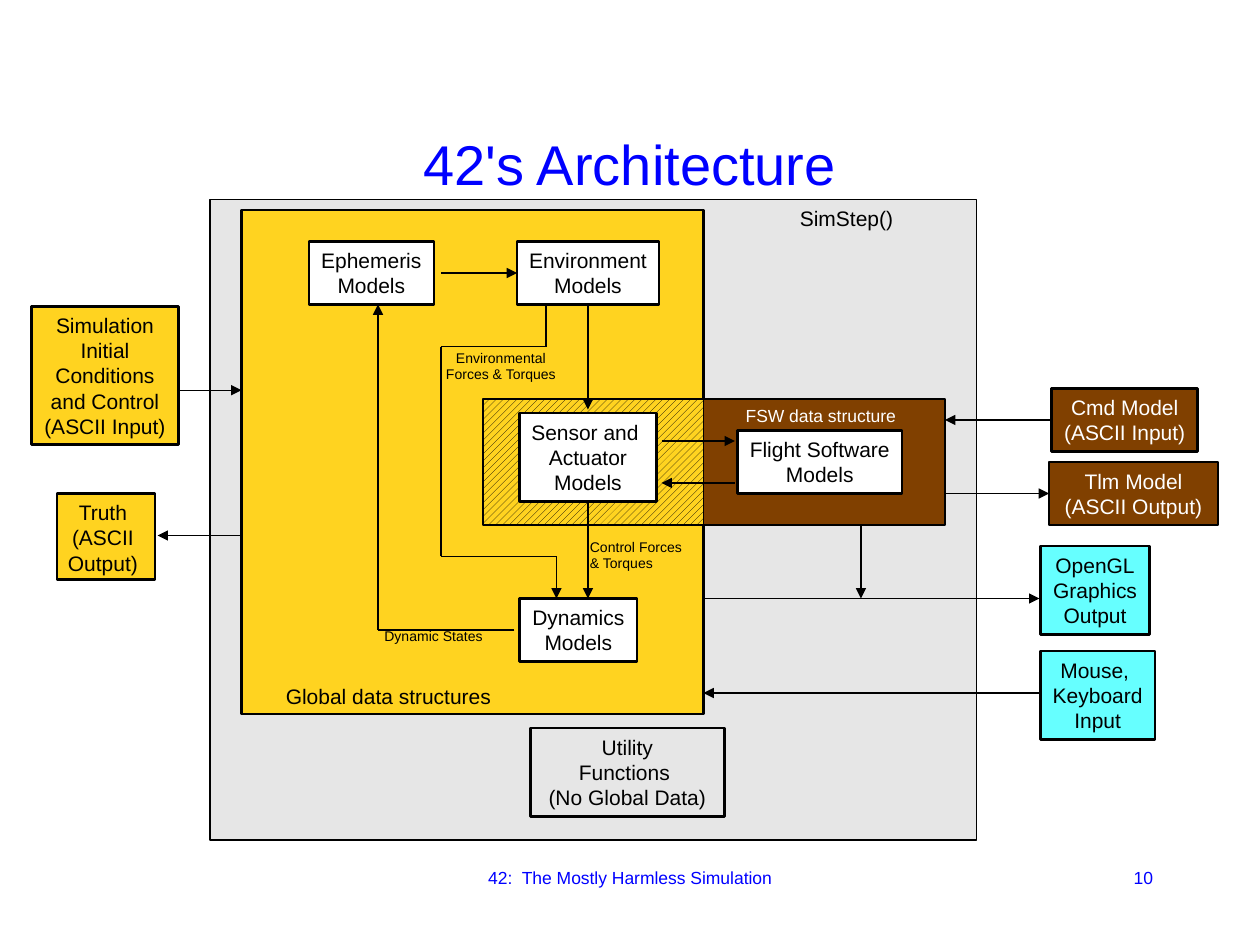
from itertools import pairwise

from lxml import etree
from pptx import Presentation
from pptx.dml.color import RGBColor
from pptx.enum.dml import MSO_PATTERN
from pptx.enum.shapes import MSO_CONNECTOR, MSO_SHAPE
from pptx.enum.text import MSO_ANCHOR, PP_ALIGN
from pptx.oxml.ns import qn
from pptx.util import Pt

RECTANGLE = MSO_SHAPE.RECTANGLE
STRAIGHT = MSO_CONNECTOR.STRAIGHT
HATCH = MSO_PATTERN.WIDE_UPWARD_DIAGONAL
TOP, MIDDLE = MSO_ANCHOR.TOP, MSO_ANCHOR.MIDDLE
LEFT, CENTER, RIGHT = PP_ALIGN.LEFT, PP_ALIGN.CENTER, PP_ALIGN.RIGHT

BLACK, WHITE, BLUE = "000000", "FFFFFF", "0000FF"
GRAY, GOLD, BROWN, CYAN = "E6E6E6", "FFD320", "804000", "66FFFF"
FONT = "Arial"
THIN, THICK = 0.75, 1.5
LEFT_SIDE, BOTTOM_SIDE = 1, 2

TITLE = ("42's Architecture", (54, 48, 612, 90))

REGIONS = [
    ((120, 114, 438, 366), GRAY, THIN),
    ((138, 120, 264, 288), GOLD, THICK),
    ((402, 228, 138, 72), BROWN, THIN),
    ((276, 228, 126, 72), HATCH, THIN),
]

BOXES = {
    "utility": ("Utility\nFunctions \n(No Global Data)", (303, 416, 111, 50.5), GRAY, BLACK),
    "ephemeris": ("Ephemeris\nModels", (176.5, 138, 71.5, 36), WHITE, BLACK),
    "environment": ("Environment\nModels", (295.5, 138, 81, 36), WHITE, BLACK),
    "flight": ("Flight Software\nModels", (421.5, 246, 94, 36), WHITE, BLACK),
    "sensor": ("Sensor and \nActuator\nModels", (297, 236, 78, 50.5), WHITE, BLACK),
    "dynamics": ("Dynamics\nModels", (297, 342, 67, 36), WHITE, BLACK),
    "truth": ("Truth \n(ASCII \nOutput) ", (32.5, 282, 56, 49), GOLD, BLACK),
    "opengl": ("OpenGL\nGraphics\nOutput", (594.5, 312, 62.5, 50.5), CYAN, BLACK),
    "initial": ("Simulation Initial Conditions and Control (ASCII Input)",
                (18, 175, 84, 79), GOLD, BLACK),
    "command": ("Cmd Model\n(ASCII Input)", (601, 222, 83.5, 36), BROWN, WHITE),
    "telemetry": ("Tlm Model (ASCII Output)", (599.5, 264, 96.5, 36), BROWN, WHITE),
    "mouse": ("Mouse, \nKeyboard\nInput", (594.5, 372, 65.5, 50.5), CYAN, BLACK),
}
WRAPPED = {"initial", "telemetry"}

ROUTES = [
    ([(102, 223), (138, 223)], None, None),
    ([(252, 156), (294, 156)], None, ("environment", LEFT_SIDE)),
    ([(336, 174), (336, 234)], ("environment", BOTTOM_SIDE), None),
    ([(378, 252), (420, 252)], None, None),
    ([(420, 276), (378, 276)], None, None),
    ([(336, 288), (336, 342)], ("sensor", BOTTOM_SIDE), None),
    ([(294, 360), (216, 360), (216, 174)], None, None),
    ([(402, 342), (594, 342)], None, None),
    ([(138, 306), (90, 306)], None, None),
    ([(312, 174), (312, 198), (252, 198), (252, 318), (318, 318), (318, 342)], None, None),
    ([(492, 300), (492, 342)], None, None),
    ([(600, 240), (540, 240)], ("command", LEFT_SIDE), None),
    ([(540, 282), (600, 282)], None, ("telemetry", LEFT_SIDE)),
    ([(594, 396), (402, 396)], None, None),
]

LABELS = [
    ("Global data structures", (156, 387, 132, 21.5), 12, BLACK, CENTER),
    ("SimStep()", (450, 114, 67.5, 21.5), 12, BLACK, CENTER),
    ("FSW data structure", (404, 228, 130, 19.5), 10, WHITE, CENTER),
    ("Dynamic States", (212.5, 355, 70.5, 17), 8, BLACK, CENTER),
    ("Environmental\nForces & Torques", (247, 196, 78.5, 26.5), 8, BLACK, CENTER),
    ("Control Forces\n& Torques", (330, 304, 67, 26.5), 8, BLACK, LEFT),
    ("42:  The Mostly Harmless Simulation", (246, 492, 228, 36), 10, BLUE, CENTER),
    ("10", (516, 492, 150, 36), 10, BLUE, RIGHT),
]


def rgb(color):
    return RGBColor.from_string(color)


def points(values):
    return [Pt(value) for value in values]


def write(holder, text, size, color, align=CENTER, wrap=False, anchor=TOP):
    frame = holder.text_frame
    frame.text = text
    frame.word_wrap = wrap
    frame.vertical_anchor = anchor
    frame.margin_left = frame.margin_right = Pt(7.2)
    frame.margin_top = frame.margin_bottom = Pt(3.6)
    for paragraph in frame.paragraphs:
        paragraph.alignment = align
        for run in paragraph.runs:
            run.font.size = Pt(size)
            run.font.name = FONT
            run.font.color.rgb = rgb(color)


def add_block(area, fill, width):
    block = slide.shapes.add_shape(RECTANGLE, *points(area))
    block.shadow.inherit = False
    if fill == HATCH:
        block.fill.patterned()
        block.fill.pattern = HATCH
        block.fill.fore_color.rgb = rgb(BLACK)
        block.fill.back_color.rgb = rgb(GOLD)
    else:
        block.fill.solid()
        block.fill.fore_color.rgb = rgb(fill)
    block.line.color.rgb = rgb(BLACK)
    block.line.width = Pt(width)
    return block


def add_route(stops, source, target):
    segments = [
        slide.shapes.add_connector(STRAIGHT, *points(start + end))
        for start, end in pairwise(stops)
    ]
    if source:
        segments[0].begin_connect(blocks[source[0]], source[1])
    if target:
        segments[-1].end_connect(blocks[target[0]], target[1])
    for segment in segments:
        segment.line.color.rgb = rgb(BLACK)
        segment.line.width = Pt(THIN)
        properties = segment._element.spPr
        etree.SubElement(properties, qn("a:effectLst"))
    outline = segments[-1].line._get_or_add_ln()
    etree.SubElement(outline, qn("a:tailEnd"), type="triangle")


presentation = Presentation()
presentation.slide_width, presentation.slide_height = Pt(720), Pt(540)
slide = presentation.slides.add_slide(presentation.slide_layouts[5])

title_text, title_area = TITLE
title = slide.shapes.title
title.left, title.top, title.width, title.height = points(title_area)
write(title, title_text, 32, BLUE, wrap=True, anchor=MIDDLE)

for region in REGIONS:
    add_block(*region)

blocks = {}
for key, (text, area, fill, color) in BOXES.items():
    blocks[key] = add_block(area, fill, THICK)
    write(blocks[key], text, 12, color, wrap=key in WRAPPED)

for route in ROUTES:
    add_route(*route)

for text, area, size, color, align in LABELS:
    write(slide.shapes.add_textbox(*points(area)), text, size, color, align)

presentation.save("out.pptx")
